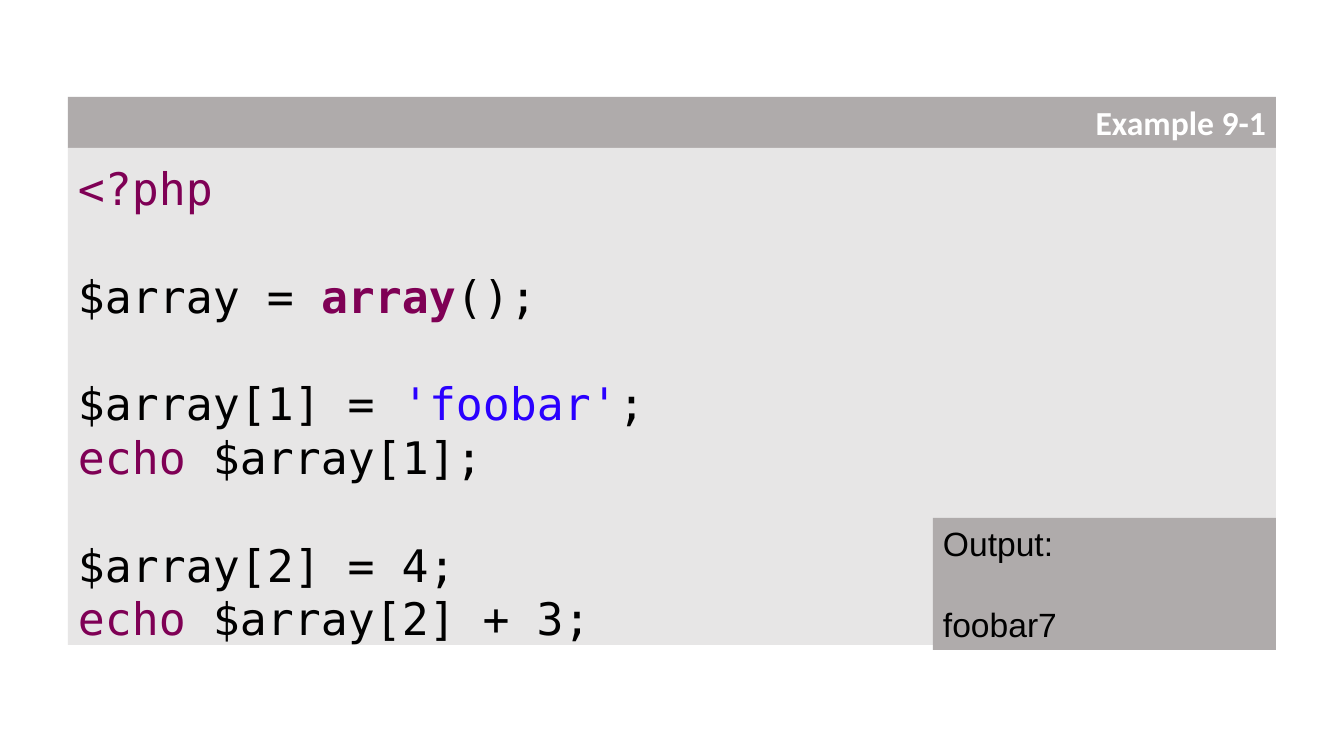
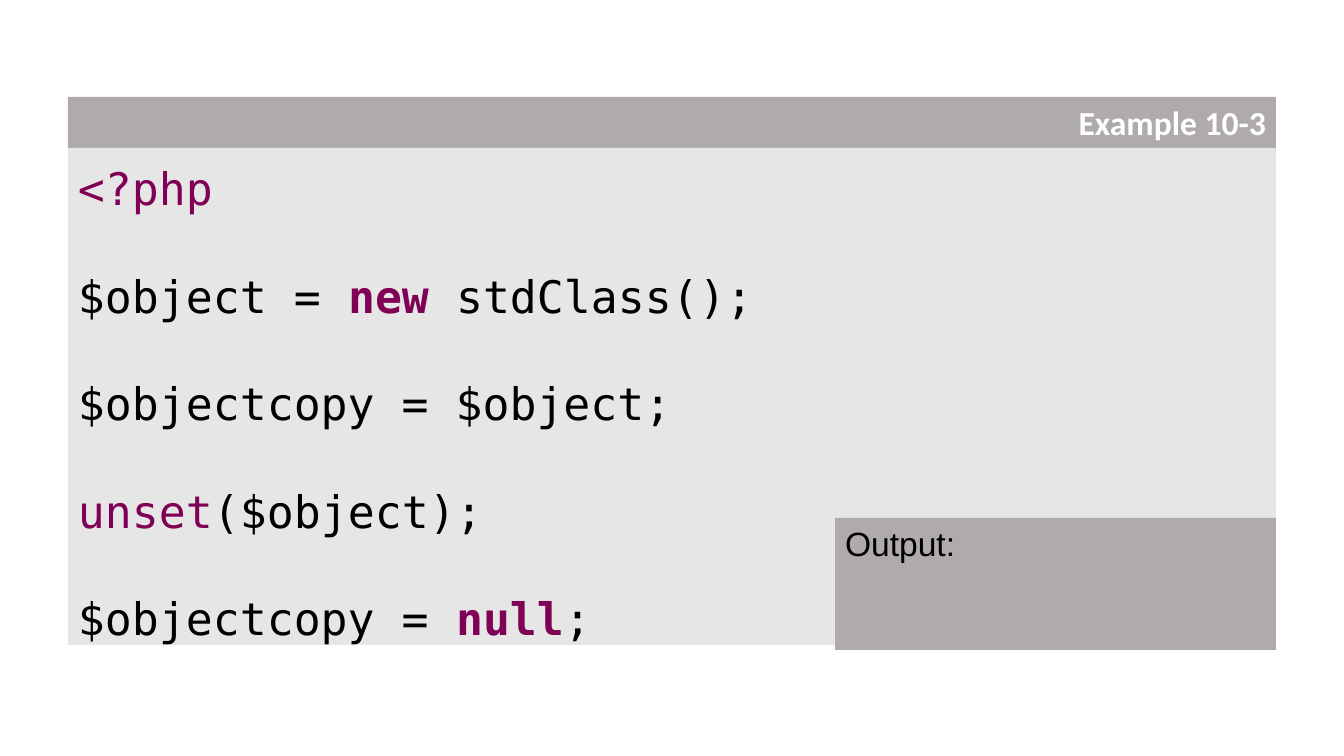
from dataclasses import dataclass

from lxml import etree
from pptx import Presentation
from pptx.dml.color import RGBColor
from pptx.enum.shapes import MSO_SHAPE
from pptx.enum.text import MSO_ANCHOR, MSO_AUTO_SIZE, PP_ALIGN
from pptx.oxml.ns import qn
from pptx.util import Pt

RECT = MSO_SHAPE.RECTANGLE
TOP, MIDDLE, BOTTOM = MSO_ANCHOR.TOP, MSO_ANCHOR.MIDDLE, MSO_ANCHOR.BOTTOM
LEFT, RIGHT = PP_ALIGN.LEFT, PP_ALIGN.RIGHT
FIXED = MSO_AUTO_SIZE.NONE

SCALE = 914400 / 100.8  # EMU in one px
WIDE, HIGH = 1344, 756
EDGE, END = 68, 1276  # left and right side of the panel
INSET = 10


@dataclass(frozen=True)
class Theme:
    band: str = "AFABAB"
    panel: str = "E7E6E6"
    ink: str = "000000"
    white: str = "FFFFFF"
    word: str = "7F0055"
    quote: str = "2A00FF"
    mono: str = "DejaVu Sans Mono"
    sans: str = "Arial"
    head: str = "Calibri"
    large: int = 32
    small: int = 24


THEME = Theme()


def emu(px):
    return round(px * SCALE)


def word(text, bold=False):
    return text, THEME.word, bold


def quote(text):
    return text, THEME.quote, False


def write(frame, lines, font, size, color, bold=False, align=LEFT,
          anchor=TOP, pad=5, base=0, pitch=None):
    """Fill a frame; an empty line becomes space before the next one."""
    frame.word_wrap = True
    frame.auto_size = FIXED
    frame.vertical_anchor = anchor
    frame.margin_left = frame.margin_right = emu(INSET)
    frame.margin_top, frame.margin_bottom = emu(pad), emu(base)
    gap, para = 0, None
    for line in lines:
        if not line:
            gap += pitch
            continue
        para = frame.add_paragraph() if para else frame.paragraphs[0]
        para.alignment = align
        para.space_before, para.space_after = Pt(gap), Pt(0)
        para.line_spacing = Pt(pitch) if pitch else 1.0
        gap = 0
        for part in line:
            text, tint, heavy = (part, color, bold) if isinstance(part, str) else part
            run = para.add_run()
            run.text = text
            run.font.name, run.font.size = font, Pt(size)
            run.font.bold = heavy
            run.font.color.rgb = RGBColor.from_string(tint)


class Deck:
    def __init__(self, theme):
        self.theme = theme
        self.show = Presentation()
        self.show.slide_width, self.show.slide_height = emu(WIDE), emu(HIGH)
        self.slide = None

    def start(self):
        self.slide = self.show.slides.add_slide(self.show.slide_layouts[1])

    def place(self, shape, left, top, right, low, fill):
        shape.left, shape.top = emu(left), emu(top)
        shape.width, shape.height = emu(right - left), emu(low - top)
        shape.fill.solid()
        shape.fill.fore_color.rgb = RGBColor.from_string(fill)
        shape.line.fill.background()
        return shape.text_frame

    def title(self, text):
        look = self.theme
        frame = self.place(self.slide.shapes.title, EDGE, 97, END, 148, look.band)
        write(frame, [[text]], look.head, look.small, look.white, bold=True,
              align=RIGHT, anchor=MIDDLE, base=5)

    def code(self, lines):
        look = self.theme
        frame = self.place(self.slide.placeholders[1], EDGE, 148, END, 645, look.panel)
        write(frame, lines, look.mono, look.large, look.ink, anchor=BOTTOM, pitch=38.4)
        # Code lines carry no bullet or indent
        for para in frame.paragraphs:
            props = para._p.get_or_add_pPr()
            props.set("marL", "0")
            props.set("indent", "0")
            etree.SubElement(props, qn("a:buNone"))

    def output(self, left, lines):
        look = self.theme
        box = self.slide.shapes.add_shape(RECT, 0, 0, 0, 0)
        box.shadow.inherit = False
        frame = self.place(box, left, 518, END, 650, look.band)
        write(frame, lines, look.sans, look.small, look.ink, pitch=28.8)


def main():
    deck = Deck(THEME)

    # Arrays
    deck.start()
    deck.title("Example 9-1")
    deck.code([
        [word("<?php")],
        [],
        ["$array = ", word("array", True), "();"],
        [],
        ["$array[1] = ", quote("'foobar'"), ";"],
        [word("echo "), "$array[1];"],
        [],
        ["$array[2] = 4;"],
        [word("echo "), "$array[2] + 3;"],
    ])
    deck.output(933, [["Output:"], [], ["foobar7"]])

    # Objects
    deck.start()
    deck.title("Example 10-3")
    deck.code([
        [word("<?php")],
        [],
        ["$object = ", word("new ", True), "stdClass();"],
        [],
        ["$objectcopy = $object;"],
        [],
        [word("unset"), "($object);"],
        [],
        ["$objectcopy = ", word("null", True), ";"],
    ])
    deck.output(835, [["Output:"]])

    deck.show.save("out.pptx")


if __name__ == "__main__":
    main()
